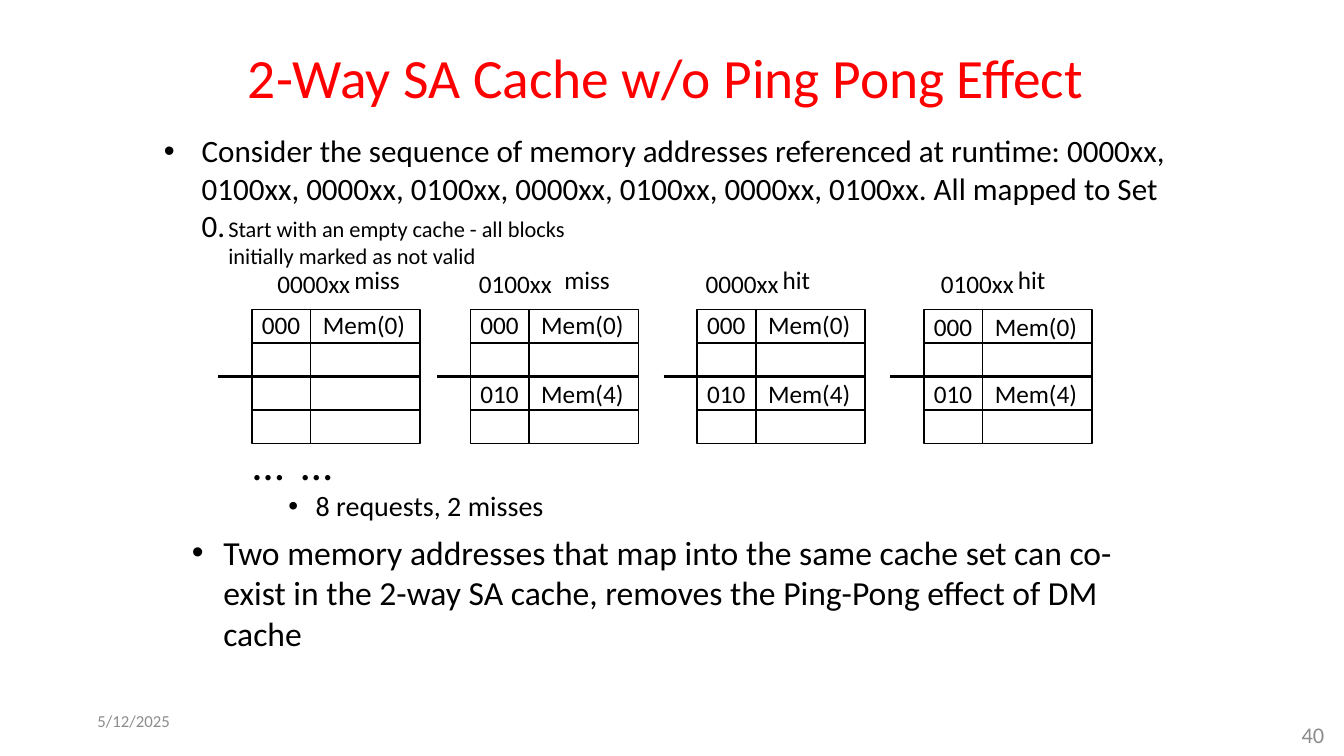
from lxml.etree import SubElement
from pptx import Presentation
from pptx.dml.color import RGBColor
from pptx.enum.shapes import MSO_CONNECTOR, MSO_SHAPE
from pptx.enum.text import MSO_ANCHOR, MSO_AUTO_SIZE, PP_ALIGN
from pptx.oxml.ns import qn
from pptx.util import Pt

BLACK = RGBColor(0, 0, 0)
RED = RGBColor(255, 0, 0)
GRAY = RGBColor(0x8C, 0x8C, 0x8C)
FONT = "Calibri"

GRID_TOP, ROW_HEIGHT, ROWS = 221, 24, 4
TAG_WIDTH, DATA_WIDTH, SET_LINE_OVERHANG = 42, 78, 24
MEM_TAB = 43.5
FIRST_ENTRY = ("000", "Mem(0)")
SECOND_ENTRY = ("010", "Mem(4)")

CACHE_STATES = [
    {"left": 180, "address": ("0000xx", 191), "outcome": ("miss", 246, 47.5),
     "entries": [(FIRST_ENTRY, 217.5)]},
    {"left": 336, "address": ("0100xx", 335), "outcome": ("miss", 396, 47.5),
     "entries": [(FIRST_ENTRY, 217.5), (SECOND_ENTRY, 267)]},
    {"left": 498, "address": ("0000xx", 497), "outcome": ("hit", 552, 34.5),
     "entries": [(FIRST_ENTRY, 217.5), (SECOND_ENTRY, 267)]},
    {"left": 660, "address": ("0100xx", 665), "outcome": ("hit", 720, 34.5),
     "entries": [(FIRST_ENTRY, 219), (SECOND_ENTRY, 267)]},
]


def place(shape, left, top, width, height):
    box = {"left": left, "top": top, "width": width, "height": height}
    for name, value in box.items():
        setattr(shape, name, Pt(value))


def format_font(paragraph, size, color):
    values = {"name": FONT, "size": Pt(size), "bold": False}
    for name, value in values.items():
        setattr(paragraph.font, name, value)
    paragraph.font.color.rgb = color


def add_title(slide, text):
    title = slide.shapes.title
    place(title, 156, 13.5, 648, 90)
    title.text = text
    frame = title.text_frame
    frame.auto_size = MSO_AUTO_SIZE.NONE
    frame.vertical_anchor = MSO_ANCHOR.MIDDLE
    paragraph = frame.paragraphs[0]
    paragraph.alignment = PP_ALIGN.CENTER
    paragraph.line_spacing = 0.85
    format_font(paragraph, 39.6, RED)


def add_text(slide, text, box, size, color=BLACK, wrap=False,
             anchor=MSO_ANCHOR.TOP, align=PP_ALIGN.LEFT):
    shape = slide.shapes.add_textbox(*map(Pt, box))
    frame = shape.text_frame
    frame.word_wrap = wrap
    frame.vertical_anchor = anchor
    paragraph = frame.paragraphs[0]
    paragraph.text = text
    paragraph.alignment = align
    format_font(paragraph, size, color)
    return shape


def add_bullet(slide, text, box, size, margin, hanging, level=0, insets=(7.2, 3.6)):
    frame = add_text(slide, text, box, size, wrap=True).text_frame
    side, edge = map(Pt, insets)
    margins = {"margin_left": side, "margin_right": side,
               "margin_top": edge, "margin_bottom": edge}
    for name, value in margins.items():
        setattr(frame, name, value)
    paragraph = frame.paragraphs[0]
    paragraph.level = level
    properties = paragraph._p.get_or_add_pPr()
    properties.set("marL", str(Pt(margin)))
    properties.set("indent", str(-Pt(hanging)))
    bullet_font = properties.makeelement(qn("a:buFont"), {"typeface": "Arial"})
    bullet = properties.makeelement(qn("a:buChar"), {"char": "•"})
    properties.insert(0, bullet_font)
    properties.insert(1, bullet)


def add_entry(slide, entry, left, top):
    shape = add_text(slide, "\t".join(entry), (left, top, 118, 29), 18)
    properties = shape.text_frame.paragraphs[0]._p.get_or_add_pPr()
    tabs = properties.makeelement(qn("a:tabLst"), {})
    SubElement(tabs, qn("a:tab"), {"pos": str(Pt(MEM_TAB)), "algn": "l"})
    properties.insert(0, tabs)


def add_line(slide, left, right, y, weight=1):
    line = slide.shapes.add_connector(
        MSO_CONNECTOR.STRAIGHT, Pt(left), Pt(y), Pt(right), Pt(y))
    line.line.color.rgb = BLACK
    line.line.width = Pt(weight)
    SubElement(line._element.spPr, qn("a:effectLst"))
    return line


def add_column(slide, left, width):
    column = slide.shapes.add_shape(
        MSO_SHAPE.RECTANGLE, Pt(left), Pt(GRID_TOP), Pt(width), Pt(ROWS * ROW_HEIGHT))
    column.shadow.inherit = False
    column.fill.background()
    column.line.color.rgb = BLACK
    column.line.width = Pt(1)
    for row in range(1, ROWS):
        line = add_line(slide, left, left + width, GRID_TOP + row * ROW_HEIGHT)
        if row == ROWS // 2:
            line.begin_connect(column, 1)
            line.end_connect(column, 3)
    return column


def add_cache_state(slide, state):
    left = state["left"]
    data_left = left + TAG_WIDTH
    add_column(slide, left, TAG_WIDTH)
    data_column = add_column(slide, data_left, DATA_WIDTH)
    set_line = add_line(slide, left - SET_LINE_OVERHANG, data_left + DATA_WIDTH,
                        GRID_TOP + ROWS * ROW_HEIGHT / 2, 2.25)
    set_line.end_connect(data_column, 3)
    address, address_left = state["address"]
    add_text(slide, address, (address_left, 188, 67, 29), 18)
    outcome, outcome_left, outcome_width = state["outcome"]
    add_text(slide, outcome, (outcome_left, 185, outcome_width, 29), 18)
    for entry, top in state["entries"]:
        add_entry(slide, entry, left, top)


def main():
    presentation = Presentation()
    presentation.slide_width = Pt(960)
    presentation.slide_height = Pt(540)
    slide = presentation.slides.add_slide(presentation.slide_layouts[5])

    add_title(slide, "2-Way SA Cache w/o Ping Pong Effect ")
    add_bullet(slide, "Consider the sequence of memory addresses referenced at runtime: "
               "0000xx, 0100xx, 0000xx, 0100xx, 0000xx, 0100xx, 0000xx, 0100xx. "
               "All mapped to Set 0.", (110, 90.5, 734, 79), 22.2, 27, 27)
    add_text(slide, "Start with an empty cache - all blocks initially marked as not valid",
             (156, 150, 270, 46), 16, wrap=True)
    for state in CACHE_STATES:
        add_cache_state(slide, state)
    for left in (173.5, 208):
        add_text(slide, "…", (left, 308, 37, 46), 32)
    add_bullet(slide, "8 requests, 2 misses", (162, 347, 642, 28), 20, 58.5, 19.5,
               level=1, insets=(5, 2))
    add_bullet(slide, "Two memory addresses that map into the same cache set can co-exist "
               "in the 2-way SA cache, removes the Ping-Pong effect of DM cache",
               (132, 378, 696, 91.5), 24, 22.5, 22.5, insets=(5, 2))
    add_text(slide, "5/12/2025", (62.5, 500.5, 168, 29), 12, GRAY, True, MSO_ANCHOR.MIDDLE)
    add_text(slide, "40", (905, 510, 48, 30), 16, GRAY, True, MSO_ANCHOR.MIDDLE,
             PP_ALIGN.RIGHT)

    presentation.save("out.pptx")


if __name__ == "__main__":
    main()
